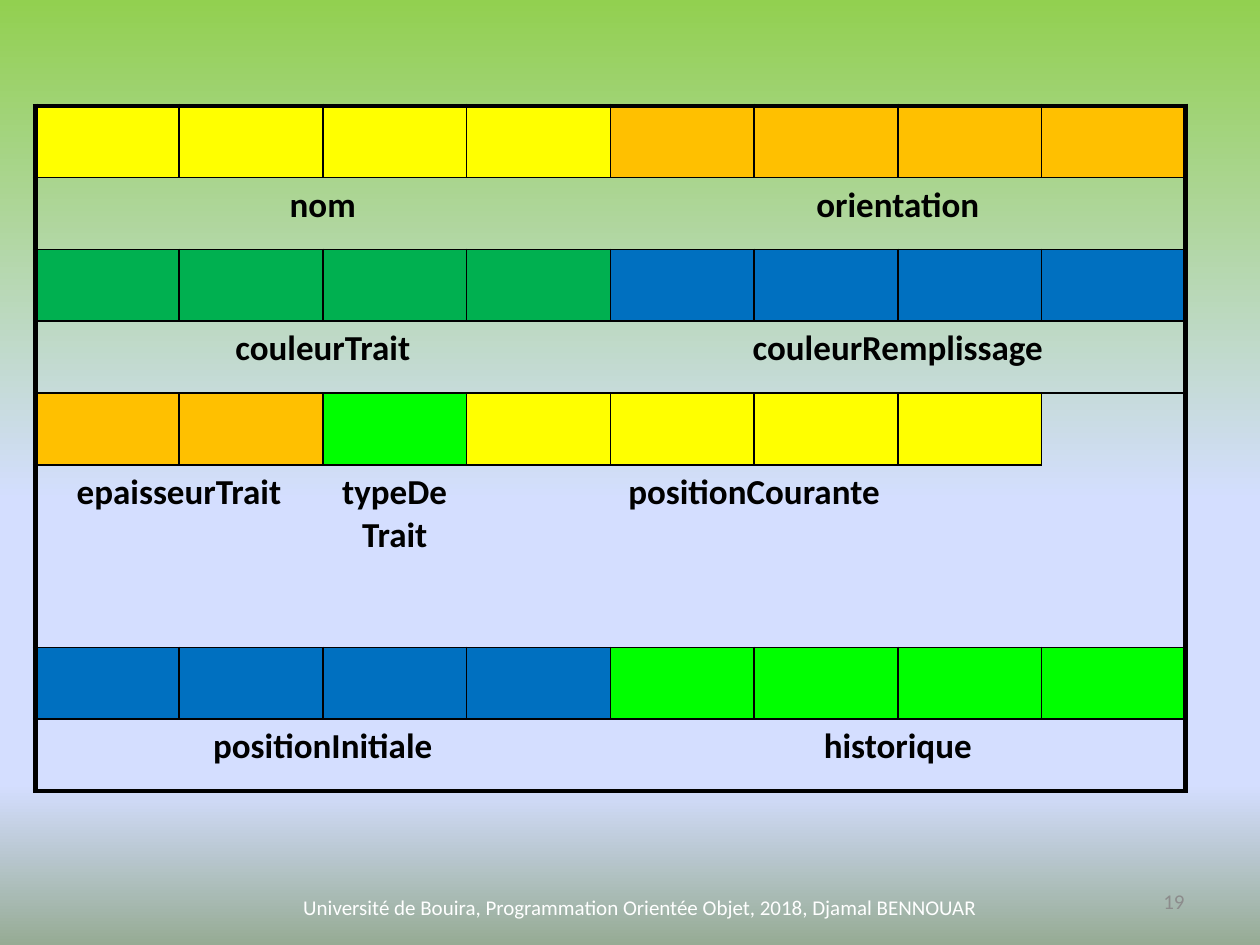
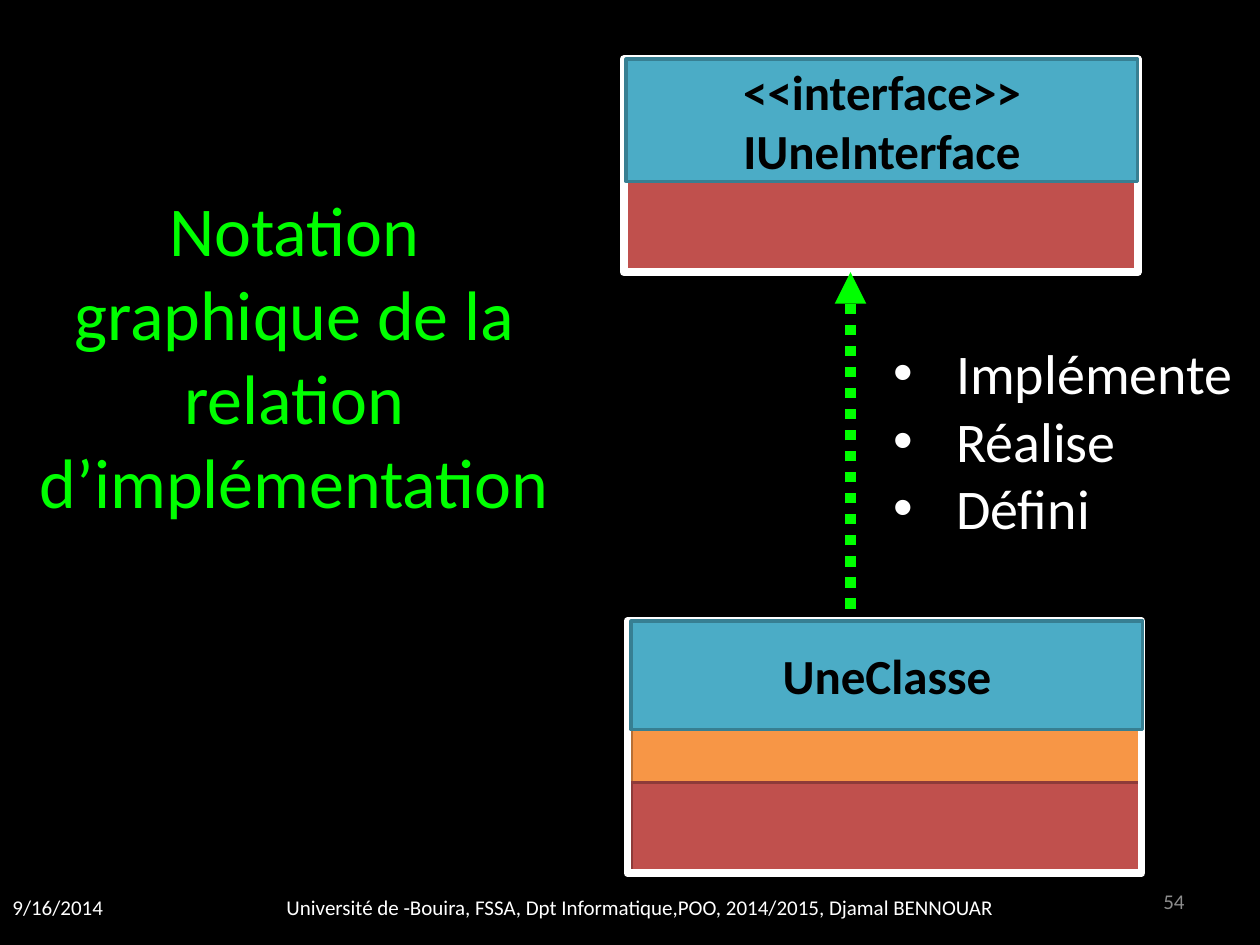
from dataclasses import dataclass
from typing import Any, NamedTuple

from lxml.etree import SubElement
from pptx import Presentation
from pptx.dml.color import RGBColor
from pptx.enum.dml import MSO_LINE
from pptx.enum.shapes import MSO_CONNECTOR, MSO_SHAPE
from pptx.enum.text import MSO_ANCHOR, MSO_AUTO_SIZE, PP_ALIGN
from pptx.oxml.ns import qn
from pptx.util import Inches, Pt


@dataclass(frozen=True)
class Theme:
    font: str = "Calibri"
    black: str = "000000"
    white: str = "FFFFFF"
    gray: str = "8C8C8C"
    yellow: str = "FFFF00"
    amber: str = "FFC000"
    green: str = "00B050"
    lime: str = "00FF00"
    blue: str = "0070C0"
    teal: str = "4BACC6"
    teal_edge: str = "377F92"
    red: str = "C0504D"
    red_edge: str = "8E3B39"
    orange: str = "F79646"
    orange_edge: str = "B76F34"
    sky: tuple = ((0, "92D050"), (53, "D4DEFF"), (83, "D4DEFF"), (100, "96AB94"))
    footer_size: int = 12
    field_size: int = 20
    class_size: int = 28
    list_size: int = 32
    title_size: int = 40


THEME = Theme()
NO_STYLE = "{2D5ABB26-0587-4C30-8999-92F81FD0307C}"


class Box(NamedTuple):
    left: float
    top: float
    width: float
    height: float

    def lengths(self) -> list:
        return [Inches(value) for value in self]


@dataclass(frozen=True)
class TextStyle:
    size: int
    color: str
    bold: bool = False
    align: Any = PP_ALIGN.CENTER


@dataclass(frozen=True)
class Field:
    label: str
    cells: int
    color: str


@dataclass(frozen=True)
class Compartment:
    top: float
    height: float
    fill: str
    edge: str


@dataclass(frozen=True)
class ClassBox:
    names: tuple
    left: float
    frame: Box
    header_height: float
    compartments: tuple


FOOTER = TextStyle(THEME.footer_size, THEME.white)
DATE = TextStyle(THEME.footer_size, THEME.white, align=PP_ALIGN.LEFT)
NUMBER = TextStyle(THEME.footer_size, THEME.gray, align=PP_ALIGN.RIGHT)
FIELD = TextStyle(THEME.field_size, THEME.black, bold=True)
CLASS_NAME = TextStyle(THEME.class_size, THEME.black, bold=True)
TITLE = TextStyle(THEME.title_size, THEME.lime)
LIST = TextStyle(THEME.list_size, THEME.white, align=PP_ALIGN.LEFT)

MEMORY_ROWS = (
    (Field("nom", 4, THEME.yellow), Field("orientation", 4, THEME.amber)),
    (Field("couleurTrait", 4, THEME.green), Field("couleurRemplissage", 4, THEME.blue)),
    (
        Field("epaisseurTrait", 2, THEME.amber),
        Field("typeDeTrait", 1, THEME.lime),
        Field("positionCourante", 4, THEME.yellow),
    ),
    (Field("positionInitiale", 4, THEME.blue), Field("historique", 4, THEME.lime)),
)
COLUMNS = 8
ROW_HEIGHT = 0.57
TALL_LABEL_ROW, TALL_HEIGHT = 5, 1.45

CLASS_WIDTH = 4.06
CLASSES = (
    ClassBox(
        ("<<interface>>", "IUneInterface"), 4.97, Box(4.95, 0.47, 4.08, 1.69), 0.97,
        (Compartment(1.44, 0.71, THEME.red, THEME.red_edge),),
    ),
    ClassBox(
        ("UneClasse",), 5.01, Box(4.98, 4.93, 4.08, 2), 0.86,
        (
            Compartment(5.37, 0.85, THEME.orange, THEME.orange_edge),
            Compartment(6.21, 0.71, THEME.red, THEME.red_edge),
        ),
    ),
)


def rgb(color: str) -> RGBColor:
    return RGBColor.from_string(color)


def apply_format(target: Any, values: dict) -> None:
    for name, value in values.items():
        setattr(target, name, value)


def write(text_frame: Any, lines: tuple, style: TextStyle) -> None:
    for index, line in enumerate(lines):
        paragraph = text_frame.paragraphs[0] if index == 0 else text_frame.add_paragraph()
        paragraph.alignment = style.align
        run = paragraph.add_run()
        run.text = line
        apply_format(run.font, {"name": THEME.font, "size": Pt(style.size), "bold": style.bold})
        run.font.color.rgb = rgb(style.color)


def add_text(slide: Any, box: Box, lines: tuple, style: TextStyle, grow: bool = False) -> Any:
    text_frame = slide.shapes.add_textbox(*box.lengths()).text_frame
    apply_format(text_frame, {
        "word_wrap": True,
        "auto_size": MSO_AUTO_SIZE.SHAPE_TO_FIT_TEXT if grow else MSO_AUTO_SIZE.NONE,
        "vertical_anchor": MSO_ANCHOR.TOP if grow else MSO_ANCHOR.MIDDLE,
    })
    write(text_frame, lines, style)
    return text_frame


def add_footer(slide: Any, text: str, number: str) -> None:
    add_text(slide, Box(1.08, 7, 8, 0.4), (text,), FOOTER)
    add_text(slide, Box(7.17, 6.95, 2.33, 0.4), (number,), NUMBER)


def paint_sky(slide: Any) -> None:
    fill = slide.background.fill
    fill.gradient()
    fill.gradient_angle = 270
    stops = next(slide.element.iter(qn("a:gsLst")))
    for stop in list(stops):
        stops.remove(stop)
    for position, color in THEME.sky:
        stop = SubElement(stops, qn("a:gs"), pos=str(position * 1000))
        SubElement(stop, qn("a:srgbClr"), val=color)


def set_borders(cell: Any, widths: dict) -> None:
    properties = cell._tc.get_or_add_tcPr()
    for index, (side, width) in enumerate(widths.items()):
        line = SubElement(properties, qn(f"a:ln{side}"), w=str(Pt(width)))
        if width:
            fill = SubElement(line, qn("a:solidFill"))
            SubElement(fill, qn("a:srgbClr"), val=THEME.black)
        else:
            SubElement(line, qn("a:noFill"))
        properties.insert(index, line)


def border_width(colors: list, row: int, column: int, row_step: int, column_step: int) -> int:
    next_row, next_column = row + row_step, column + column_step
    if not (0 <= next_row < len(colors) and 0 <= next_column < COLUMNS):
        return 3
    return 1 if colors[row][column] or colors[next_row][next_column] else 0


def add_memory_table(slide: Any) -> None:
    colors: list = []
    for fields in MEMORY_ROWS:
        row_colors = [field.color for field in fields for _ in range(field.cells)]
        colors += [row_colors + [None] * (COLUMNS - len(row_colors)), [None] * COLUMNS]

    frame = slide.shapes.add_table(len(colors), COLUMNS, *Box(0.28, 0.84, 9.13, 5.43).lengths())
    table = frame.table
    apply_format(table, {"first_row": False, "horz_banding": False})
    next(frame._element.iter(qn("a:tableStyleId"))).text = NO_STYLE
    for column in table.columns:
        column.width = Inches(9.13 / COLUMNS)
    for index, row in enumerate(table.rows):
        row.height = Inches(TALL_HEIGHT if index == TALL_LABEL_ROW else ROW_HEIGHT)

    last_columns: dict = {}
    for index, fields in enumerate(MEMORY_ROWS):
        row, column = 2 * index + 1, 0
        for field in fields:
            last = column + field.cells - 1
            cell = table.cell(row, column)
            if field.cells > 1:
                cell.merge(table.cell(row, last))
            write(cell.text_frame, (field.label,), FIELD)
            last_columns[row, column] = last
            column = last + 1

    for row, row_colors in enumerate(colors):
        for column, color in enumerate(row_colors):
            cell = table.cell(row, column)
            if color:
                cell.fill.solid()
                cell.fill.fore_color.rgb = rgb(color)
            else:
                cell.fill.background()
            last = last_columns.get((row, column), column)
            set_borders(cell, {
                "L": border_width(colors, row, column, 0, -1),
                "R": border_width(colors, row, last, 0, 1),
                "T": border_width(colors, row, column, -1, 0),
                "B": border_width(colors, row, column, 1, 0),
            })


def add_rectangle(slide: Any, box: Box, fill: str | None, edge: str, width: float) -> Any:
    shape = slide.shapes.add_shape(MSO_SHAPE.RECTANGLE, *box.lengths())
    shape.shadow.inherit = False
    if fill:
        shape.fill.solid()
        shape.fill.fore_color.rgb = rgb(fill)
    else:
        shape.fill.background()
    shape.line.color.rgb = rgb(edge)
    shape.line.width = Pt(width)
    return shape


def add_class(slide: Any, item: ClassBox) -> None:
    for part in item.compartments:
        box = Box(item.left, part.top, CLASS_WIDTH, part.height)
        add_rectangle(slide, box, part.fill, part.edge, 2)
    add_rectangle(slide, item.frame, None, THEME.white, 4.5)
    box = Box(item.left, item.frame.top, CLASS_WIDTH, item.header_height)
    header = add_rectangle(slide, box, THEME.teal, THEME.teal_edge, 2)
    header.text_frame.vertical_anchor = MSO_ANCHOR.MIDDLE
    write(header.text_frame, item.names, CLASS_NAME)


def add_realization_arrow(slide: Any) -> None:
    ends = [Inches(value) for value in (6.75, 4.83, 6.75, 2.16)]
    arrow = slide.shapes.add_connector(MSO_CONNECTOR.STRAIGHT, *ends)
    arrow.line.color.rgb = rgb(THEME.lime)
    apply_format(arrow.line, {"width": Pt(6), "dash_style": MSO_LINE.ROUND_DOT})
    SubElement(arrow.line._get_or_add_ln(), qn("a:tailEnd"), type="triangle")
    SubElement(arrow._element.spPr, qn("a:effectLst"))


def add_bullets(text_frame: Any) -> None:
    for paragraph in text_frame.paragraphs:
        properties = paragraph._p.get_or_add_pPr()
        properties.set("marL", str(Inches(0.5)))
        properties.set("indent", str(Inches(-0.5)))
        SubElement(properties, qn("a:buFont"), typeface="Arial")
        SubElement(properties, qn("a:buChar"), char="•")


def build_memory_slide(slide: Any) -> None:
    paint_sky(slide)
    add_footer(slide, "Université de Bouira, Programmation Orientée Objet, 2018, Djamal BENNOUAR", "19")
    add_memory_table(slide)


def build_notation_slide(slide: Any) -> None:
    slide.background.fill.solid()
    slide.background.fill.fore_color.rgb = rgb(THEME.black)
    add_text(slide, Box(0, 7, 1.25, 0.4), ("9/16/2014",), DATE)
    add_footer(slide, "Université de -Bouira, FSSA, Dpt Informatique,POO, 2014/2015, Djamal BENNOUAR", "54")
    title = "Notation graphique de la relation d’implémentation"
    add_text(slide, Box(0.17, 1.43, 4.33, 2.79), (title,), TITLE, grow=True)
    for item in CLASSES:
        add_class(slide, item)
    add_realization_arrow(slide)
    verbs = ("Implémente", "Réalise", "Défini")
    add_bullets(add_text(slide, Box(6.99, 2.64, 3.01, 1.72), verbs, LIST, grow=True))


presentation = Presentation()
apply_format(presentation, {"slide_width": Inches(10), "slide_height": Inches(7.5)})
for build in (build_memory_slide, build_notation_slide):
    build(presentation.slides.add_slide(presentation.slide_layouts[6]))
presentation.save("out.pptx")
